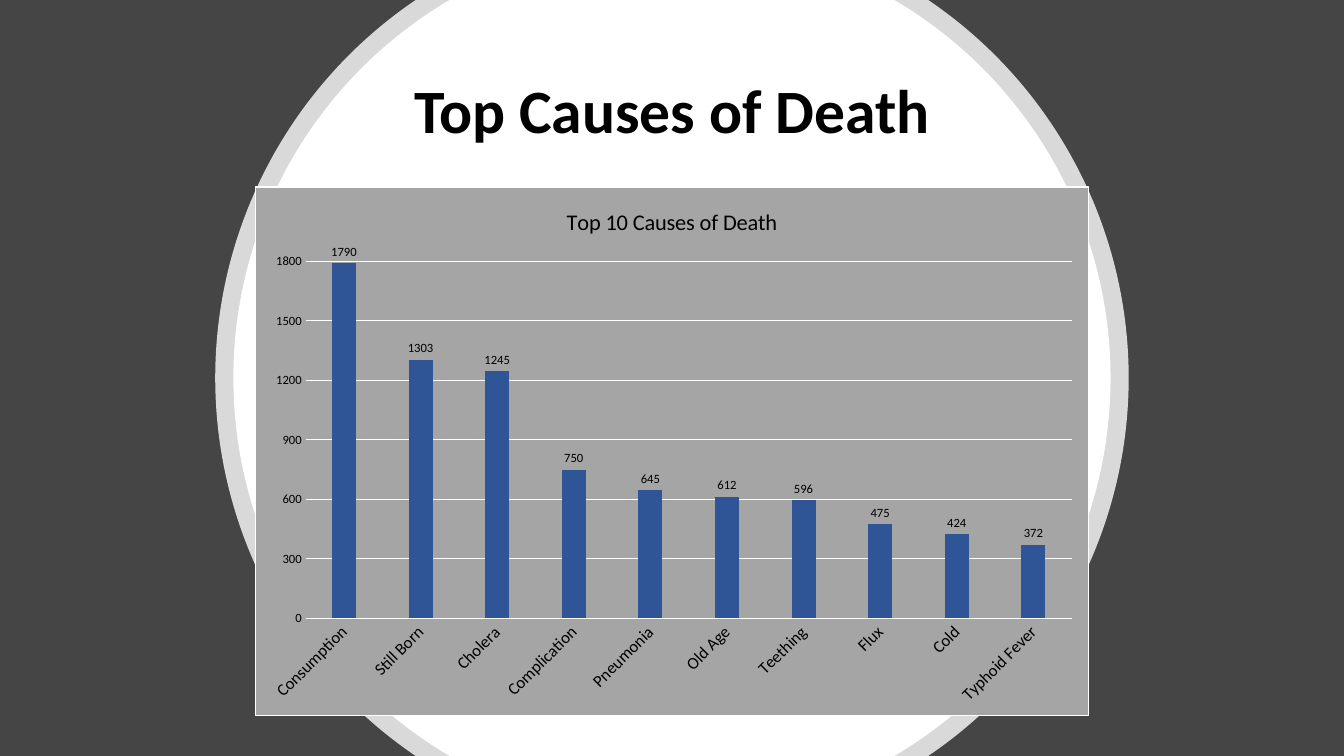
import math
from dataclasses import dataclass

import lxml.etree
import pptx
import pptx.chart.data
import pptx.dml.color
import pptx.enum.chart
import pptx.enum.text
import pptx.oxml
import pptx.oxml.ns
import pptx.util

Inches = pptx.util.Inches
Pt = pptx.util.Pt
qn = pptx.oxml.ns.qn

WIDTH, HEIGHT = 13.33, 7.5

DEATHS = {
    "Consumption": 1790,
    "Still Born": 1303,
    "Cholera": 1245,
    "Complication": 750,
    "Pneumonia": 645,
    "Old Age": 612,
    "Teething": 596,
    "Flux": 475,
    "Cold": 424,
    "Typhoid Fever": 372,
}


@dataclass(frozen=True)
class Theme:
    font: str = "Calibri"
    background: str = "454545"
    light: str = "FFFFFF"
    text: str = "000000"
    panel: str = "A5A5A5"
    bar: str = "2F5597"
    heading_size: int = 44
    chart_title_size: int = 16
    category_size: int = 12
    value_size: int = 9
    chart_size: int = 10
    hairline: float = 0.75


def rgb(code):
    return pptx.dml.color.RGBColor.from_string(code)


class SlideBuilder:
    def __init__(self, slide, theme):
        self.slide = slide
        self.theme = theme
        fill = slide.background.fill
        fill.solid()
        fill.fore_color.rgb = rgb(theme.background)

    def style_font(self, font, size, color, bold=False):
        font.name = self.theme.font
        font.size = Pt(size)
        font.bold = bold
        font.color.rgb = rgb(color)

    def style_line(self, line):
        line.color.rgb = rgb(self.theme.light)
        line.width = Pt(self.theme.hairline)

    def clipped_disc(self, radius, opacity=100):
        """Draw a centred disc cut off at the slide's top and bottom edges."""
        limit = math.asin(HEIGHT / 2 / radius)
        angles = [math.pi + limit, -limit, 0, limit, math.pi - limit, math.pi, math.pi + limit]

        def rim(angle, tangent=0):
            """Point on the rim, moved along its tangent by a share of the radius."""
            x = math.cos(angle) - tangent * math.sin(angle)
            y = math.sin(angle) + tangent * math.cos(angle)
            return Inches(WIDTH / 2 + radius * x), Inches(HEIGHT / 2 + radius * y)

        outline = self.slide.shapes.build_freeform(*rim(angles[0]))
        outline.add_line_segments([rim(angle) for angle in angles[1:]], close=True)
        disc = outline.convert_to_shape()
        self.bend_sides(disc, angles, limit, rim)
        disc.shadow.inherit = False
        disc.line.fill.background()
        disc.fill.solid()
        disc.fill.fore_color.rgb = rgb(self.theme.light)
        if opacity < 100:
            color = disc._element.spPr.find(qn("a:solidFill") + "/" + qn("a:srgbClr"))
            lxml.etree.SubElement(color, qn("a:alpha")).set("val", str(opacity * 1000))

    def bend_sides(self, disc, angles, limit, rim):
        """Turn the straight sides into arcs; the flat top and bottom stay."""
        reach = 4 / 3 * math.tan(limit / 4)
        sides = list(disc._element.iter(qn("a:lnTo")))
        for index in (1, 2, 4, 5):
            side = sides[index]
            curve = lxml.etree.Element(qn("a:cubicBezTo"))
            for x, y in (rim(angles[index], reach), rim(angles[index + 1], -reach)):
                handle = lxml.etree.SubElement(curve, qn("a:pt"))
                handle.set("x", str(x - disc.left))
                handle.set("y", str(y - disc.top))
            curve.append(side[0])
            side.getparent().replace(side, curve)

    def heading(self, text, left, top, width, height):
        box = self.slide.shapes.add_textbox(
            Inches(left), Inches(top), Inches(width), Inches(height)
        )
        frame = box.text_frame
        frame.word_wrap = True
        frame.vertical_anchor = pptx.enum.text.MSO_ANCHOR.MIDDLE
        frame.text = text
        paragraph = frame.paragraphs[0]
        paragraph.alignment = pptx.enum.text.PP_ALIGN.CENTER
        paragraph.line_spacing = 0.9
        self.style_font(
            paragraph.runs[0].font, self.theme.heading_size, self.theme.text, bold=True
        )

    def column_chart(self, title, values, left, top, width, height):
        theme = self.theme
        data = pptx.chart.data.CategoryChartData()
        data.categories = list(values)
        data.add_series("Series 1", list(values.values()))
        chart = self.slide.shapes.add_chart(
            pptx.enum.chart.XL_CHART_TYPE.COLUMN_CLUSTERED,
            Inches(left), Inches(top), Inches(width), Inches(height), data,
        ).chart
        chart.has_legend = False
        self.style_font(chart.font, theme.chart_size, theme.light)

        chart.has_title = True
        chart.chart_title.include_in_layout = False
        title_frame = chart.chart_title.text_frame
        title_frame.text = title
        self.style_font(
            title_frame.paragraphs[0].runs[0].font, theme.chart_title_size, theme.text
        )

        self.style_axes(chart)
        self.style_bars(chart.plots[0])
        self.fill_panel(chart)

    def style_axes(self, chart):
        theme = self.theme
        categories, counts = chart.category_axis, chart.value_axis
        for axis, size in ((categories, theme.category_size), (counts, theme.value_size)):
            axis.major_tick_mark = pptx.enum.chart.XL_TICK_MARK.NONE
            axis.minor_tick_mark = pptx.enum.chart.XL_TICK_MARK.NONE
            self.style_font(axis.tick_labels.font, size, theme.text)
        self.style_line(categories.format.line)
        slant = categories._element.find(".//" + qn("a:bodyPr"))
        slant.set("rot", "-2700000")
        slant.set("vert", "horz")

        counts.maximum_scale = 1800
        counts.major_unit = 300
        counts.format.line.fill.background()
        self.style_line(counts.major_gridlines.format.line)

    def style_bars(self, plot):
        plot.gap_width = 219
        plot.overlap = -27
        plot.vary_by_categories = False
        bars = plot.series[0]
        bars.invert_if_negative = False
        bars.format.fill.solid()
        bars.format.fill.fore_color.rgb = rgb(self.theme.bar)
        labels = bars.data_labels
        labels.show_value = True
        labels.position = pptx.enum.chart.XL_LABEL_POSITION.OUTSIDE_END
        self.style_font(labels.font, self.theme.value_size, self.theme.text)

    def fill_panel(self, chart):
        """Give the whole chart area its fill and border."""
        theme = self.theme
        panel = pptx.oxml.parse_xml(
            f'<c:spPr {pptx.oxml.ns.nsdecls("c", "a")}>'
            f'<a:solidFill><a:srgbClr val="{theme.panel}"/></a:solidFill>'
            f'<a:ln w="{Pt(theme.hairline)}"><a:solidFill>'
            f'<a:srgbClr val="{theme.light}"/></a:solidFill></a:ln></c:spPr>'
        )
        chart._chartSpace.find(qn("c:chart")).addnext(panel)


def main():
    deck = pptx.Presentation()
    deck.slide_width, deck.slide_height = Inches(WIDTH), Inches(HEIGHT)
    builder = SlideBuilder(deck.slides.add_slide(deck.slide_layouts[6]), Theme())
    builder.clipped_disc(4.53, opacity=80)
    builder.clipped_disc(4.35)
    builder.heading("Top Causes of Death", 0.92, 0.4, 11.5, 1.45)
    builder.column_chart("Top 10 Causes of Death", DEATHS, 2.53, 1.85, 8.27, 5.25)
    deck.save("out.pptx")


if __name__ == "__main__":
    main()
